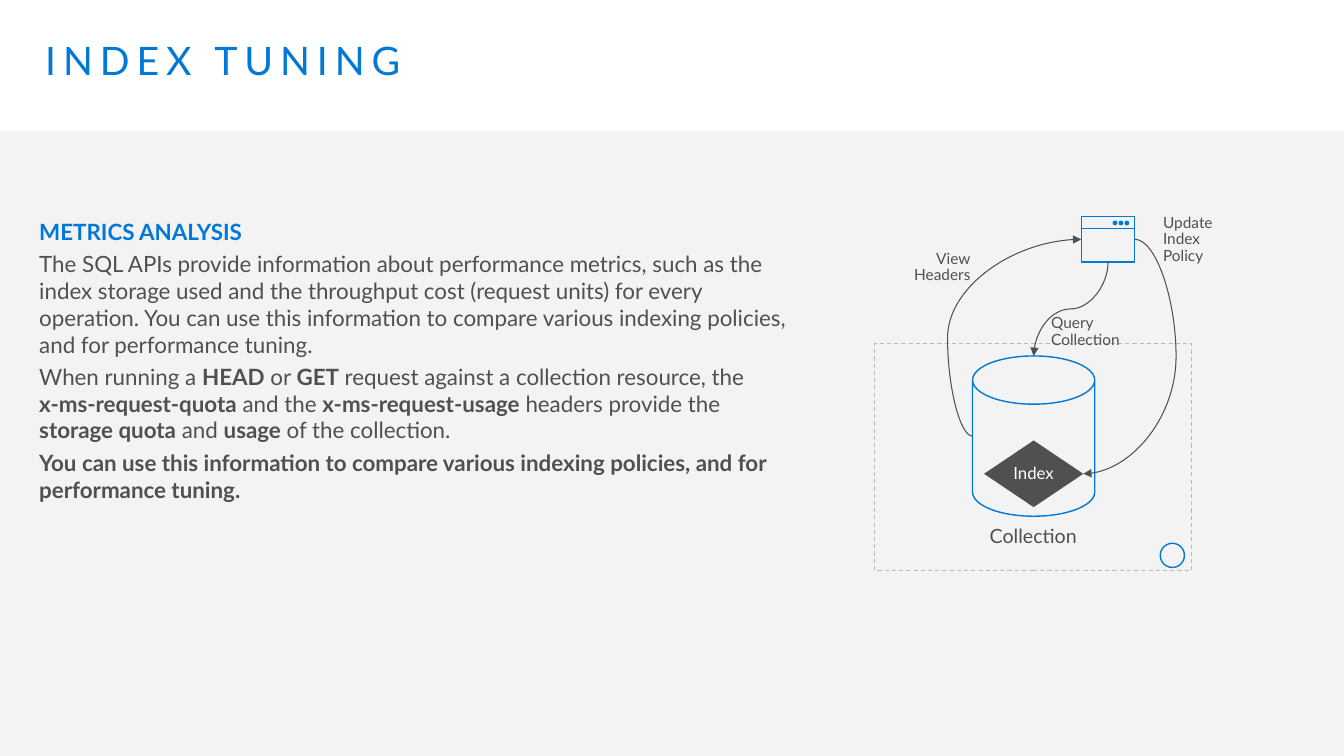
import lxml.etree
import pptx
import pptx.dml.color
import pptx.enum.dml
import pptx.enum.shapes
import pptx.enum.text
import pptx.oxml.ns
import pptx.util

Cm = pptx.util.Cm
Pt = pptx.util.Pt
RGB = pptx.dml.color.RGBColor
SHAPE = pptx.enum.shapes.MSO_SHAPE
ALIGN = pptx.enum.text.PP_ALIGN
ANCHOR = pptx.enum.text.MSO_ANCHOR
qn = pptx.oxml.ns.qn
sub = lxml.etree.SubElement

BLUE = RGB(0x00, 0x78, 0xD7)
DARK = RGB(0x50, 0x50, 0x50)
DASH_GREY = RGB(0xB9, 0xB9, 0xB9)
PANEL_GREY = RGB(0xF2, 0xF2, 0xF2)
WHITE = RGB(0xFF, 0xFF, 0xFF)
FONT = "Lato"

BODY = [
    "The SQL APIs provide information about performance metrics, such as the index storage used "
    "and the throughput cost (request units) for every operation. You can use this information "
    "to compare various indexing policies, and for performance tuning.",
    "When running a **HEAD** or **GET** request against a collection resource, the\n"
    "**x-ms-request-quota** and the **x-ms-request-usage** headers provide the "
    "**storage quota** and **usage** of the collection.",
    "**You can use this information to compare various indexing policies, and for "
    "performance tuning.**",
]


def style_run(r, size, color, bold=False):
    r.font.name = FONT
    r.font.size = Pt(size)
    r.font.bold = bold
    r.font.color.rgb = color


def add_rich_text(p, text, size, color):
    for i, segment in enumerate(text.split("**")):
        for j, part in enumerate(segment.split("\n")):
            if j:
                p.add_line_break()
            if part:
                r = p.add_run()
                r.text = part
                style_run(r, size, color, i % 2 == 1)
    for br in p._p.findall(qn("a:br")):
        sub(br, qn("a:rPr"), sz=str(size * 100))


def set_insets(tf, x, y):
    tf.margin_left = tf.margin_right = Cm(x)
    tf.margin_top = tf.margin_bottom = Cm(y)


def add_label(s, box, text, size, color=DARK, align=ALIGN.LEFT, anchor=ANCHOR.TOP, insets=(0.25, 0.25)):
    tf = s.shapes.add_textbox(*map(Cm, box)).text_frame
    tf.word_wrap = True
    tf.vertical_anchor = anchor
    set_insets(tf, *insets)
    p = tf.paragraphs[0]
    p.alignment = align
    p.line_spacing = 0.9
    add_rich_text(p, text, size, color)
    return p


def add_shape(s, kind, box, fill=None, line=None, width=1):
    sp = s.shapes.add_shape(kind, *map(Cm, box))
    sp.shadow.inherit = False
    if fill is None:
        sp.fill.background()
    else:
        sp.fill.solid()
        sp.fill.fore_color.rgb = fill
    if line is None:
        sp.line.fill.background()
    else:
        sp.line.color.rgb = line
        sp.line.width = Pt(width)
    return sp


def add_line(s, kind, start, end, color, width):
    c = s.shapes.add_connector(kind, *map(Cm, start + end))
    c.line.color.rgb = color
    c.line.width = Pt(width)
    sub(c._element.spPr, qn("a:effectLst"))
    return c


def add_curve(s, start, end, bend, rotation=0, flip=False):
    w, h = abs(end[0] - start[0]), abs(end[1] - start[1])
    if rotation == 90:
        w, h = h, w
    x = (start[0] + end[0] - w) / 2
    y = (start[1] + end[1] - h) / 2
    c = add_line(s, pptx.enum.shapes.MSO_CONNECTOR.CURVE, (x, y), (x + w, y + h), DARK, 0.75)
    spPr = c._element.spPr
    xfrm = spPr.find(qn("a:xfrm"))
    xfrm.set("rot", str(rotation * 60000))
    if flip:
        xfrm.set("flipH", "1")
    guides = spPr.find(qn("a:prstGeom")).find(qn("a:avLst"))
    sub(guides, qn("a:gd"), name="adj1", fmla=f"val {round(bend * 100000)}")
    sub(spPr.find(qn("a:ln")), qn("a:tailEnd"), type="triangle")


def add_panel(s, box):
    sp = add_shape(s, SHAPE.RECTANGLE, box, PANEL_GREY)
    color = sp._element.spPr.find(qn("a:solidFill"))[0]
    sub(color, qn("a:alpha"), val="89000")


def add_title(s, box):
    p = add_label(s, box, "INDEX TUNING", 28, BLUE, insets=(0.4, 0.25))
    p.runs[0].font._element.set("spc", "500")


def add_body(s, box):
    tf = s.shapes.add_textbox(*map(Cm, box)).text_frame
    tf.word_wrap = True
    set_insets(tf, 0.25, 0.13)
    p = tf.paragraphs[0]
    p.text = "METRICS ANALYSIS"
    style_run(p.runs[0], 16, BLUE, True)
    for text in BODY:
        p = tf.add_paragraph()
        p.space_before = Pt(3.84)
        add_rich_text(p, text, 16, DARK)


def add_window(s, box):
    x, y, w, h = box
    add_shape(s, SHAPE.RECTANGLE, box, line=BLUE)
    add_line(s, pptx.enum.shapes.MSO_CONNECTOR.STRAIGHT, (x, y + 0.3), (x + w, y + 0.3), BLUE, 1)
    for i in range(3):
        add_shape(s, SHAPE.OVAL, (x + 0.79 + 0.15 * i, y + 0.1, 0.12, 0.12), BLUE)


def add_diagram(s, box):
    x, y, w, h = box
    add_label(s, (x + 2.16, y + 7.64, 3.76, 1.37), "Collection", 14,
              align=ALIGN.CENTER, insets=(0.5, 0.4))
    window = (x + 5.25, y + 0.1, 1.35, 1.14)
    add_window(s, window)

    account = add_shape(s, SHAPE.RECTANGLE, (x + 0.05, y + 3.3, 7.98, 5.72), line=DASH_GREY, width=0.75)
    account.line.dash_style = pptx.enum.dml.MSO_LINE.DASH
    add_shape(s, SHAPE.OVAL, (x + 7.24, y + 8.33, 0.61, 0.61), line=BLUE)

    can = (x + 2.51, y + 3.61, 3.08, 4.04)
    add_shape(s, SHAPE.CAN, can, line=BLUE).adjustments[0] = 0.395
    index = (x + 2.8, y + 5.74, 2.5, 1.68)
    tf = add_shape(s, SHAPE.FLOWCHART_DECISION, index, DARK).text_frame
    set_insets(tf, 0, 0)
    tf.vertical_anchor = ANCHOR.MIDDLE
    p = tf.paragraphs[0]
    p.text = "Index"
    p.alignment = ALIGN.CENTER
    p.line_spacing = 0.9
    style_run(p.runs[0], 12, WHITE)

    window_mid = window[1] + window[3] / 2
    add_curve(s, (window[0] + window[2], window_mid),
              (index[0] + index[2], index[1] + index[3] / 2), -0.8, flip=True)
    add_curve(s, (window[0] + window[2] / 2, window[1] + window[3]),
              (can[0] + can[2] / 2, can[1]), 0.5, rotation=90)
    add_curve(s, (can[0], can[1] + can[3] / 2), (window[0], window_mid), -0.23,
              rotation=180, flip=True)

    for left, top, width, height, text, align in [
        (7.06, 0, 2.79, 1.37, "Update\nIndex\nPolicy", ALIGN.LEFT),
        (4.24, 2.54, 3.25, 0.94, "Query\nCollection", ALIGN.LEFT),
        (0, 0.91, 2.71, 0.94, "View\nHeaders", ALIGN.RIGHT),
    ]:
        add_label(s, (x + left, y + top, width, height), text, 11,
                  align=align, anchor=ANCHOR.MIDDLE)


def main():
    prs = pptx.Presentation()
    prs.slide_width = Cm(33.87)
    prs.slide_height = Cm(19.05)
    s = prs.slides.add_slide(prs.slide_layouts[6])
    add_panel(s, (0, 3.3, 33.87, 15.75))
    add_title(s, (0.74, 0.81, 32.39, 2.49))
    add_body(s, (0.74, 5.36, 19.53, 7.52))
    add_diagram(s, (22, 5.36, 9.85, 9.02))
    prs.save("out.pptx")


if __name__ == "__main__":
    main()
